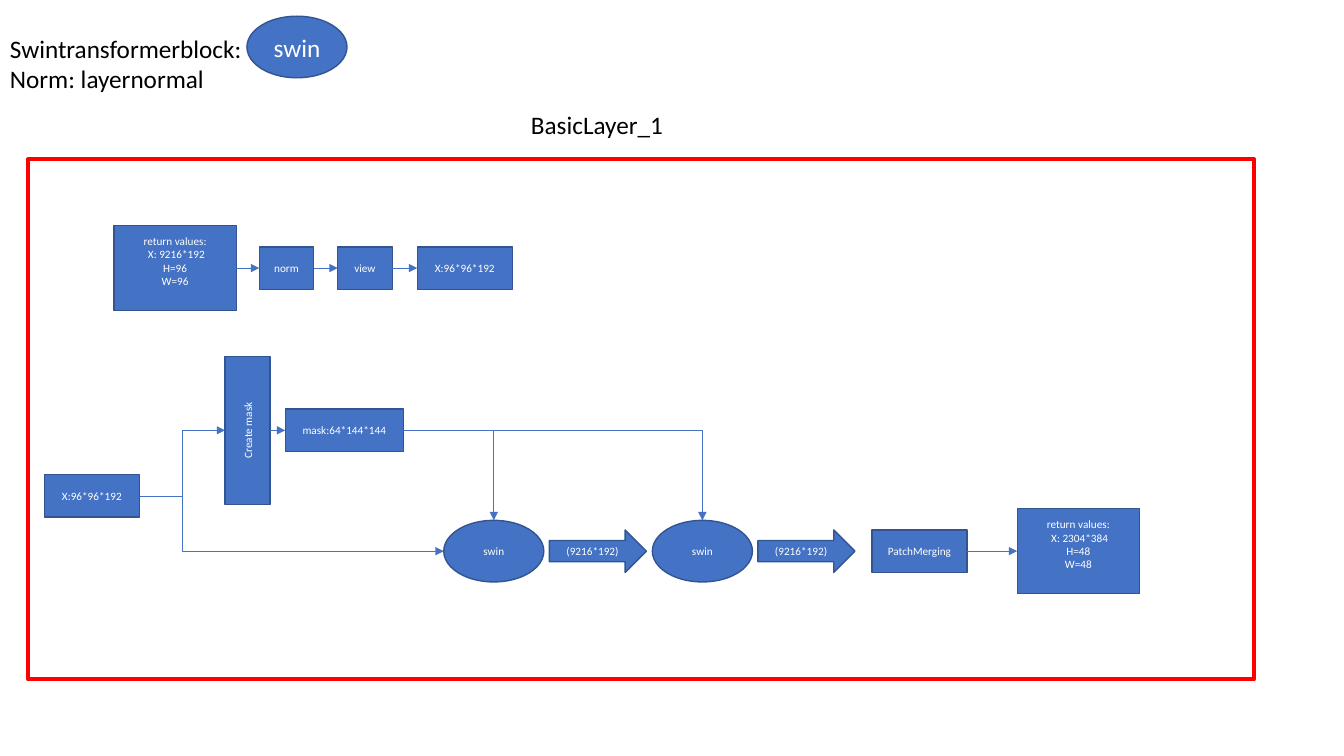
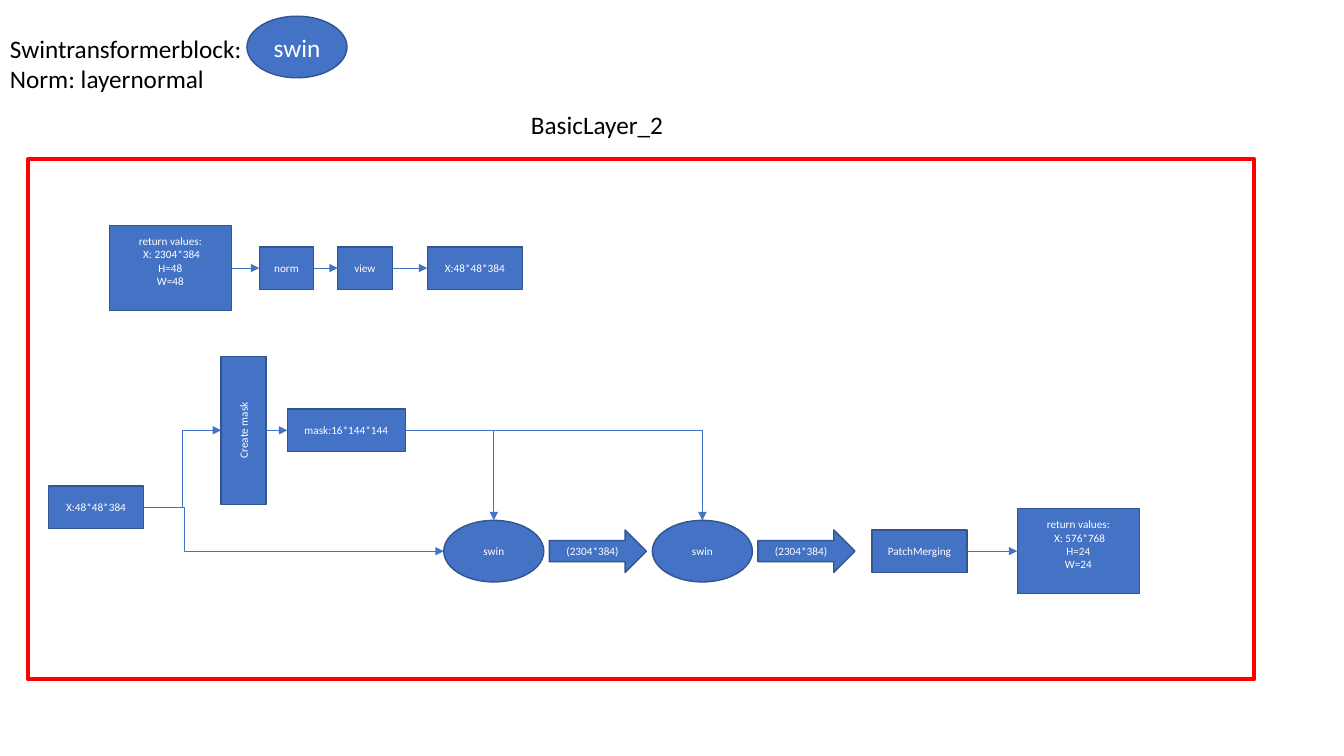
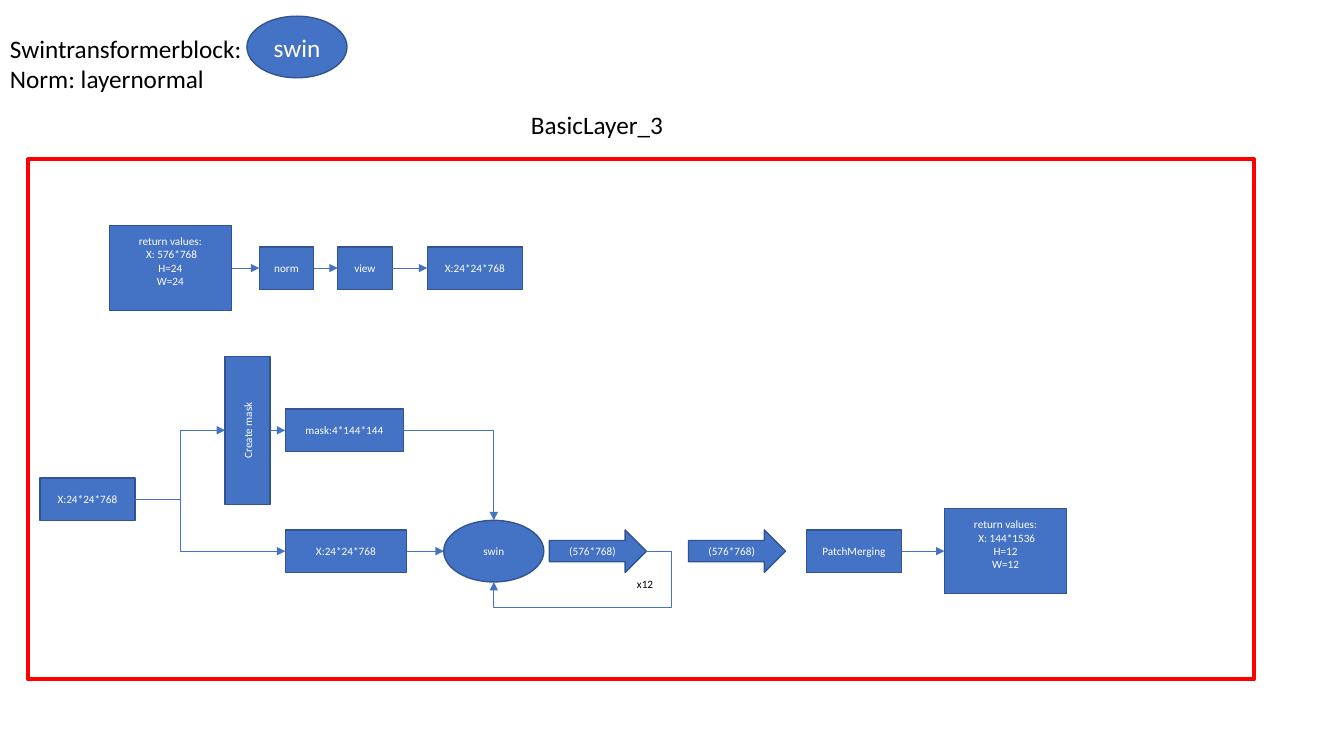
"""Builds three slides that diagram the basic layers of a Swin transformer."""
from lxml import etree
from pptx import Presentation
from pptx.dml.color import RGBColor
from pptx.enum import shapes, text
from pptx.oxml.ns import qn
from pptx.util import Pt

LAYERS = [
    dict(title="BasicLayer_1", tokens="9216*192", side=96, grid="96*96*192",
         mask="mask:64*144*144", merged="2304*384", merged_side=48,
         values_left=81.4, viewed_left=298, input_left=31.7, input_middle=354.3,
         create_center=176.8, mask_left=203.8, lower_shift=0,
         swins=[317, 466], arrows=[392.4, 541.4], merging_left=622.8, result_left=726.6),
    dict(title="BasicLayer_2", tokens="2304*384", side=48, grid="48*48*384",
         mask="mask:16*144*144", merged="576*768", merged_side=24,
         values_left=78, viewed_left=305.2, input_left=34.6, input_middle=362.4,
         create_center=173.9, mask_left=205.2, lower_shift=1.5,
         swins=[317, 466], arrows=[392.4, 541.4], merging_left=622.8, result_left=726.6),
    dict(title="BasicLayer_3", tokens="576*768", side=24, grid="24*24*768",
         mask="mask:4*144*144", merged="144*1536", merged_side=12, repeat="x12",
         values_left=78, viewed_left=305.2, input_left=28.5, input_middle=356.6,
         create_center=176.8, mask_left=203.8, lower_shift=0,
         swins=[317], arrows=[392.4, 491.8], merging_left=576, result_left=674.6),
]
LEGEND = "Swintransformerblock:\nNorm: layernormal"
BLUE = RGBColor(0x44, 0x72, 0xC4)
EDGE = RGBColor(0x32, 0x54, 0x91)
RED = RGBColor(0xFF, 0x00, 0x00)
WHITE = RGBColor(0xFF, 0xFF, 0xFF)
BLACK = RGBColor(0x00, 0x00, 0x00)

SMALL, LARGE = 8, 18
TOP_ROW, MASK_ROW, SWIN_ROW = 191.5, 307.4, 393.7
BOX_HEIGHT, SWIN_SIZE, VALUES_SIZE = 30.3, (71.5, 44), (87.4, 60.8)
KIND = shapes.MSO_SHAPE


def write(frame, words, size, color, align=None, **layout):
    frame.text = words
    for name, value in layout.items():
        setattr(frame, name, value)
    for paragraph in frame.paragraphs:
        paragraph.alignment = align
        for run in paragraph.runs:
            for name, value in dict(name="Calibri", size=Pt(size)).items():
                setattr(run.font, name, value)
            run.font.color.rgb = color


def label(slide, words, left, top, width, height, size, wrap=False, align=None):
    box = slide.shapes.add_textbox(Pt(left), Pt(top), Pt(width), Pt(height))
    write(box.text_frame, words, size, BLACK, align, word_wrap=wrap,
          auto_size=text.MSO_AUTO_SIZE.SHAPE_TO_FIT_TEXT)


def block(slide, words, left, middle, width, height=BOX_HEIGHT,
          kind=KIND.RECTANGLE, size=SMALL, **layout):
    shape = slide.shapes.add_shape(
        kind, Pt(left), Pt(middle - height / 2), Pt(width), Pt(height))
    shape.shadow.inherit = False
    shape.fill.solid()
    shape.fill.fore_color.rgb = BLUE
    shape.line.color.rgb = EDGE
    shape.line.width = Pt(1)
    write(shape.text_frame, words, size, WHITE, text.PP_ALIGN.CENTER,
          vertical_anchor=text.MSO_ANCHOR.MIDDLE, **layout)
    return shape


def swin(slide, left, middle=SWIN_ROW, size=SMALL):
    return block(slide, "swin", left, middle, *SWIN_SIZE, KIND.OVAL, size)


def values(slide, tokens, side, left, middle):
    words = f"return values:\n X: {tokens}\nH={side}\nW={side}"
    return block(slide, words, left, middle, *VALUES_SIZE, margin_bottom=Pt(13.4))


def arrow(slide, start, end, preset="line", *bends):
    kind = shapes.MSO_CONNECTOR.STRAIGHT if preset == "line" else shapes.MSO_CONNECTOR.ELBOW
    connector = slide.shapes.add_connector(kind, *map(Pt, start + end))
    connector.line.color.rgb = BLUE
    connector.line.width = Pt(0.5)
    properties = connector._element.spPr
    etree.SubElement(properties.find(qn("a:ln")), qn("a:tailEnd"), type="triangle")
    etree.SubElement(properties, qn("a:effectLst"))
    outline = properties.find(qn("a:prstGeom"))
    outline.set("prst", preset)
    for number, bend in enumerate(bends, 1):
        etree.SubElement(outline.find(qn("a:avLst")), qn("a:gd"),
                         name=f"adj{number}", fmla=f"val {round(bend * 100000)}")
    return connector


def chain(slide, *blocks):
    for first, second in zip(blocks, blocks[1:]):
        connector = arrow(slide, (0, 0), (1, 1))
        connector.begin_connect(first, 3)
        connector.end_connect(second, 1)


def header(slide, title):
    label(slide, LEGEND, 0, 20.2, 181.4, 51.1, LARGE)
    swin(slide, 176.4, 33.6, LARGE)
    label(slide, title, 372.2, 74.9, 109.4, 28.8, LARGE)
    border = slide.shapes.add_shape(KIND.RECTANGLE, Pt(20.2), Pt(113.8), Pt(875.5), Pt(371.5))
    border.shadow.inherit = False
    border.fill.background()
    border.line.color.rgb = RED
    border.line.width = Pt(3)


def view_row(slide, layer):
    chain(slide,
          values(slide, layer["tokens"], layer["side"], layer["values_left"], TOP_ROW),
          block(slide, "norm", 185.2, TOP_ROW, 39),
          block(slide, "view", 241.2, TOP_ROW, 39),
          block(slide, "X:" + layer["grid"], layer["viewed_left"], TOP_ROW, 68))


def mask_branch(slide, layer):
    grid, center, mask_left = "X:" + layer["grid"], layer["create_center"], layer["mask_left"]
    length, thickness, input_width, mask_width = 106, 32, 68, 84.4
    block(slide, grid, layer["input_left"], layer["input_middle"], input_width)
    create = block(slide, "Create mask", center - length / 2, MASK_ROW, length, thickness)
    create.rotation = 270
    block(slide, layer["mask"], mask_left, MASK_ROW, mask_width)

    fork = layer["input_left"] + input_width, layer["input_middle"]
    create_left, create_right = center - thickness / 2, center + thickness / 2
    arrow(slide, fork, (create_left, MASK_ROW), "bentConnector3", 0.5)
    arrow(slide, (create_right, MASK_ROW), (mask_left, MASK_ROW))
    target = layer["swins"][0]
    if "repeat" in layer:
        copy_width = 86.6
        block(slide, grid, mask_left, SWIN_ROW, copy_width)
        arrow(slide, (mask_left + copy_width, SWIN_ROW), (target, SWIN_ROW))
        target = mask_left
    trunk = (create_left - fork[0]) / 2 + layer["lower_shift"]
    arrow(slide, fork, (target, SWIN_ROW), "bentConnector3", trunk / (target - fork[0]))

    source = mask_left + mask_width
    for left in layer["swins"]:
        swin_center = left + SWIN_SIZE[0] / 2
        arrow(slide, (source, MASK_ROW), (swin_center, SWIN_ROW - SWIN_SIZE[1] / 2),
              "bentConnector2")
        source = swin_center


def swin_row(slide, layer):
    arrow_width = 69.3
    for left in layer["swins"]:
        swin(slide, left)
    for left in layer["arrows"]:
        block(slide, f"({layer['tokens']})", left, SWIN_ROW, arrow_width, kind=KIND.RIGHT_ARROW)
    chain(slide,
          block(slide, "PatchMerging", layer["merging_left"], SWIN_ROW, 68),
          values(slide, layer["merged"], layer["merged_side"], layer["result_left"], SWIN_ROW))
    if "repeat" in layer:
        start = layer["arrows"][0] + arrow_width, SWIN_ROW
        end = layer["swins"][0] + SWIN_SIZE[0] / 2, SWIN_ROW + SWIN_SIZE[1] / 2
        arrow(slide, start, end, "bentConnector4", -0.165, 1.825)
        label(slide, layer["repeat"], 439.2, 409, 43.2, 17.3, SMALL, True,
              text.PP_ALIGN.CENTER)


def main():
    deck = Presentation()
    deck.slide_width, deck.slide_height = Pt(960), Pt(540)
    for layer in LAYERS:
        slide = deck.slides.add_slide(deck.slide_layouts[6])
        header(slide, layer["title"])
        view_row(slide, layer)
        mask_branch(slide, layer)
        swin_row(slide, layer)
    deck.save("out.pptx")


if __name__ == "__main__":
    main()
